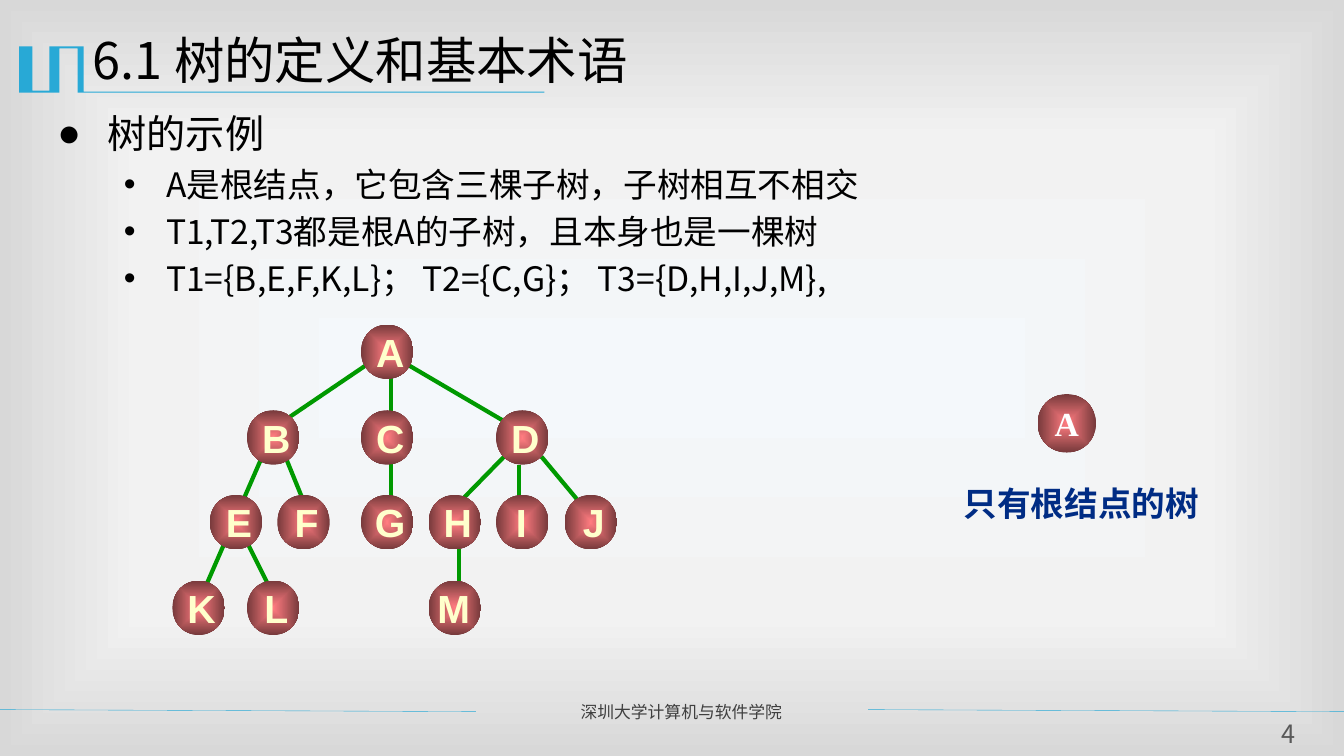
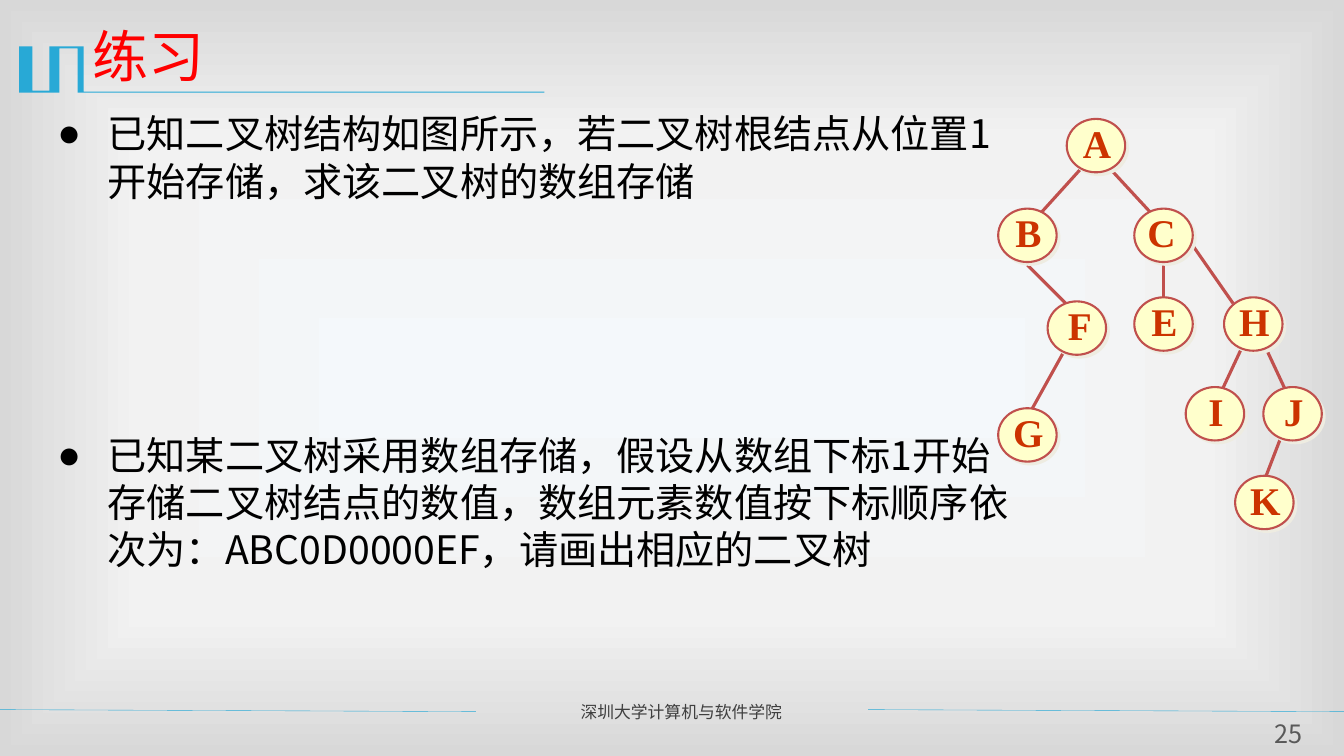
from dataclasses import dataclass
from typing import NamedTuple, Optional

import pptx
import pptx.dml.color
import pptx.enum.shapes
import pptx.enum.text
import pptx.oxml
import pptx.oxml.ns
import pptx.util
from pptx.dml.color import RGBColor
from pptx.oxml.ns import qn
from pptx.util import Inches

CJK_FONT = "Noto Sans CJK SC"
SERIF_FONT = "Times New Roman"
SANS_FONT = "Arial"

BLACK = RGBColor(0x00, 0x00, 0x00)
WHITE = RGBColor(0xFF, 0xFF, 0xFF)
RED = RGBColor(0xFF, 0x00, 0x00)
NAVY = RGBColor(0x00, 0x2C, 0x84)
CYAN = RGBColor(0x28, 0xA9, 0xD6)
DARK_GRAY = RGBColor(0x3F, 0x3F, 0x3F)
MID_GRAY = RGBColor(0x59, 0x59, 0x59)
GREEN = RGBColor(0x00, 0x99, 0x00)
CREAM = RGBColor(0xFF, 0xFF, 0xCC)
BRICK = RGBColor(0xC0, 0x50, 0x4D)
RUST = RGBColor(0xCC, 0x33, 0x00)
SHADOW = RGBColor(0xEE, 0xEC, 0xE1)
ROSE = RGBColor(0xFF, 0x7C, 0x80)
MAROON = RGBColor(0x76, 0x39, 0x3B)

BACKGROUND_STOPS = [
    (0, RGBColor(0xF4, 0xF8, 0xFB)),
    (63, RGBColor(0xF2, 0xF2, 0xF2)),
    (100, RGBColor(0xD8, 0xD8, 0xD8)),
]
NODE_STOPS = [(0, ROSE), (100, MAROON)]

EMBLEM_POINTS = [
    (0.82, 0.46), (0.83, 0.46), (0.83, 0.91), (5.4, 0.91), (5.4, 0.92),
    (0.77, 0.92), (0.77, 0.48), (0.59, 0.48), (0.59, 0.92), (0.19, 0.92),
    (0.19, 0.46), (0.32, 0.46), (0.32, 0.9), (0.49, 0.9), (0.49, 0.46),
]


class Node(NamedTuple):
    label: str
    left: float
    top: float
    label_shift: float = 0


class Edge(NamedTuple):
    x1: float
    y1: float
    x2: float
    y2: float


class Bullet(NamedTuple):
    symbol: str
    indent: float
    hanging: float


@dataclass(frozen=True)
class NodeStyle:
    width: float
    height: float
    font: str
    size: float
    color: RGBColor
    fill: Optional[RGBColor] = None
    outline: Optional[RGBColor] = None
    shift_right: float = 0
    shift_up: float = 0


MAIN_BULLET = Bullet("●", 0.5, 0.5)
SUB_BULLET = Bullet("•", 1.08, 0.42)

GENERAL_STYLE = NodeStyle(0.52, 0.54, SANS_FONT, 28, CREAM, shift_right=0.03)
SINGLE_STYLE = NodeStyle(0.58, 0.58, SERIF_FONT, 24, WHITE)
BINARY_STYLE = NodeStyle(0.58, 0.53, SERIF_FONT, 28, RUST, CREAM, BRICK,
                         shift_right=0.01, shift_up=0.03)

GENERAL_NODES = [
    Node("A", 3.58, 3.22),
    Node("B", 2.45, 4.07), Node("C", 3.58, 4.07), Node("D", 4.92, 4.07),
    Node("E", 2.08, 4.91), Node("F", 2.75, 4.91), Node("G", 3.58, 4.91),
    Node("H", 4.25, 4.91), Node("I", 4.92, 4.91, -0.04), Node("J", 5.6, 4.91),
    Node("K", 1.71, 5.76), Node("L", 2.45, 5.76), Node("M", 4.25, 5.76, -0.04),
]
GENERAL_EDGES = [
    Edge(5.37, 4.53, 5.82, 5.07), Edge(5, 4.53, 4.55, 4.99),
    Edge(5.15, 4.61, 5.15, 4.99), Edge(4.55, 5.45, 4.55, 5.91),
    Edge(4.03, 3.61, 5.07, 4.22), Edge(3.65, 3.61, 2.75, 4.22),
    Edge(3.88, 3.68, 3.88, 5.45), Edge(2.83, 4.53, 3.05, 5.07),
    Edge(2.45, 5.38, 2.68, 5.84), Edge(2.6, 4.53, 1.93, 6.07),
]
BINARY_NODES = [
    Node("A", 10.58, 1.18),
    Node("B", 9.9, 2.07), Node("C", 11.25, 2.07, -0.03),
    Node("F", 10.39, 2.99, 0.02), Node("E", 11.25, 2.95),
    Node("H", 12.14, 2.95),
    Node("G", 9.9, 4.05), Node("I", 11.76, 3.84), Node("J", 12.53, 3.84),
    Node("K", 12.25, 4.72),
]
BINARY_EDGES = [
    Edge(10.96, 1.62, 11.45, 2.15), Edge(10.77, 1.62, 10.29, 2.15),
    Edge(11.54, 2.51, 11.54, 3.04), Edge(10.59, 3.42, 10.19, 4.14),
    Edge(12.53, 3.4, 12.82, 4.02), Edge(12.34, 3.4, 12.05, 4.02),
    Edge(12.7, 4.35, 12.55, 4.74), Edge(10.19, 2.63, 10.59, 3.03),
    Edge(11.84, 2.45, 12.23, 3.01),
]


def set_path_gradient(fill, element, shape_name: str, stops) -> None:
    fill.gradient()
    gradient = next(element.iter(qn("a:gradFill")))
    stop_xml = "".join(
        f'<a:gs pos="{position * 1000}"><a:srgbClr val="{color}"/></a:gs>'
        for position, color in stops
    )
    gradient.getparent().replace(gradient, pptx.oxml.parse_xml(
        f'<a:gradFill {pptx.oxml.ns.nsdecls("a")} rotWithShape="1">'
        f'<a:gsLst>{stop_xml}</a:gsLst><a:path path="{shape_name}">'
        '<a:fillToRect l="50000" t="50000" r="50000" b="50000"/>'
        '</a:path></a:gradFill>'
    ))


def write_text(paragraph, text: str, *, size: float, color: RGBColor,
               font: str = CJK_FONT, bold: bool = False,
               alignment=pptx.enum.text.PP_ALIGN.LEFT,
               bullet: Optional[Bullet] = None,
               space_before: float = 0) -> None:
    if bullet:
        properties = paragraph._p.get_or_add_pPr()
        properties.set("marL", str(Inches(bullet.indent)))
        properties.set("indent", str(-Inches(bullet.hanging)))
        for tag, attributes in (("a:buFont", {"typeface": SANS_FONT}),
                                ("a:buChar", {"char": bullet.symbol})):
            properties.append(properties.makeelement(qn(tag), attributes))
    paragraph.alignment = alignment
    paragraph.space_before = pptx.util.Pt(space_before)
    run = paragraph.add_run()
    run.text = text
    run.font.size = pptx.util.Pt(size)
    run.font.bold = bold
    run.font.color.rgb = color
    run.font.name = font
    run_properties = run._r.get_or_add_rPr()
    run_properties.append(
        run_properties.makeelement(qn("a:ea"), {"typeface": CJK_FONT}))


def add_text_frame(slide, left: float, top: float, width: float,
                   height: float, wrap: bool = True):
    shape = slide.shapes.add_textbox(
        Inches(left), Inches(top), Inches(width), Inches(height))
    shape.text_frame.word_wrap = wrap
    return shape.text_frame


def clear_insets(frame) -> None:
    frame.margin_left = frame.margin_right = 0
    frame.margin_top = frame.margin_bottom = 0


def add_line(slide, edge: Edge, color: RGBColor, width: float) -> None:
    connector = slide.shapes.add_connector(
        pptx.enum.shapes.MSO_CONNECTOR.STRAIGHT,
        *(Inches(value) for value in edge))
    connector.line.color.rgb = color
    connector.line.width = pptx.util.Pt(width)
    properties = connector._element.spPr
    properties.append(properties.makeelement(qn("a:effectLst"), {}))


def add_node(slide, node: Node, style: NodeStyle) -> None:
    shape = slide.shapes.add_shape(
        pptx.enum.shapes.MSO_SHAPE.OVAL, Inches(node.left), Inches(node.top),
        Inches(style.width), Inches(style.height))
    shape.shadow.inherit = False
    if style.fill is None:
        set_path_gradient(shape.fill, shape._element, "shape", NODE_STOPS)
    else:
        shape.fill.solid()
        shape.fill.fore_color.rgb = style.fill
    if style.outline is None:
        shape.line.fill.background()
    else:
        shape.line.color.rgb = style.outline
        shape.line.width = pptx.util.Pt(1.5)
        effects = shape._element.spPr.find(qn("a:effectLst"))
        effects.append(pptx.oxml.parse_xml(
            f'<a:outerShdw {pptx.oxml.ns.nsdecls("a")} dist="35921" '
            f'dir="2700000"><a:srgbClr val="{SHADOW}"/></a:outerShdw>'))
    frame = shape.text_frame
    frame.word_wrap = False
    frame.vertical_anchor = pptx.enum.text.MSO_ANCHOR.MIDDLE
    clear_insets(frame)
    shift = style.shift_right + node.label_shift
    frame.margin_left = Inches(max(0, 2 * shift))
    frame.margin_right = Inches(max(0, -2 * shift))
    frame.margin_bottom = Inches(2 * style.shift_up)
    write_text(frame.paragraphs[0], node.label, size=style.size,
               color=style.color, font=style.font, bold=True,
               alignment=pptx.enum.text.PP_ALIGN.CENTER)


def add_tree(slide, nodes: list[Node], edges: list[Edge], style: NodeStyle,
             edge_color: RGBColor, edge_width: float) -> None:
    for edge in edges:
        add_line(slide, edge, edge_color, edge_width)
    for node in nodes:
        add_node(slide, node, style)


def add_emblem(slide) -> None:
    points = [(Inches(x), Inches(y)) for x, y in EMBLEM_POINTS]
    builder = slide.shapes.build_freeform(*points[0], scale=1.0)
    builder.add_line_segments(points[1:], close=True)
    shape = builder.convert_to_shape()
    shape.shadow.inherit = False
    shape.fill.solid()
    shape.fill.fore_color.rgb = CYAN
    shape.line.fill.background()


def add_base_slide(presentation, title: str, title_top: float,
                   title_size: float, title_color: RGBColor, number: int):
    slide = presentation.slides.add_slide(presentation.slide_layouts[5])
    add_emblem(slide)
    for left, right in ((-0.01, 4.72), (8.61, 13.33)):
        add_line(slide, Edge(left, 7.04, right, 7.06), CYAN, 0.25)
    footer = add_text_frame(slide, 5.66, 6.91, 2.85, 0.3)
    write_text(footer.paragraphs[0], "深圳大学计算机与软件学院", size=12,
               color=DARK_GRAY, alignment=pptx.enum.text.PP_ALIGN.JUSTIFY)

    heading = slide.shapes.title
    heading.left, heading.top = Inches(0.82), Inches(title_top)
    heading.width, heading.height = Inches(12), Inches(0.87)
    frame = heading.text_frame
    frame.auto_size = pptx.enum.text.MSO_AUTO_SIZE.NONE
    frame.vertical_anchor = pptx.enum.text.MSO_ANCHOR.TOP
    write_text(frame.paragraphs[0], title, size=title_size, color=title_color)

    page = add_text_frame(slide, 12.48, 7.13, 0.59, 0.31)
    clear_insets(page)
    write_text(page.paragraphs[0], str(number), size=18, color=MID_GRAY,
               alignment=pptx.enum.text.PP_ALIGN.CENTER)
    return slide


def add_body(slide, width: float, items) -> None:
    frame = add_text_frame(slide, 0.47, 1.04, width, 5.63)
    for index, (text, bullet, size, space_before) in enumerate(items):
        paragraph = frame.add_paragraph() if index else frame.paragraphs[0]
        write_text(paragraph, text, size=size, color=BLACK, bullet=bullet,
                   space_before=space_before)


def build_definition_slide(presentation) -> None:
    slide = add_base_slide(presentation, "6.1 树的定义和基本术语", 0.24, 36, BLACK, 4)
    details = [
        "A是根结点，它包含三棵子树，子树相互不相交",
        "T1,T2,T3都是根A的子树，且本身也是一棵树",
        "T1={B,E,F,K,L}； T2={C,G}； T3={D,H,I,J,M},",
    ]
    add_body(slide, 12.13, [("树的示例", MAIN_BULLET, 28, 0)]
             + [(text, SUB_BULLET, 24, 4.8) for text in details])
    add_node(slide, Node("A", 10.29, 3.91), SINGLE_STYLE)
    caption = add_text_frame(slide, 9.46, 4.74, 2.54, 0.5, wrap=False)
    write_text(caption.paragraphs[0], "只有根结点的树", size=24, color=NAVY,
               font=SERIF_FONT, bold=True)
    add_tree(slide, GENERAL_NODES, GENERAL_EDGES, GENERAL_STYLE, GREEN, 3)


def build_exercise_slide(presentation) -> None:
    slide = add_base_slide(presentation, "练习", 0.16, 40, RED, 25)
    add_body(slide, 9.74, [
        ("已知二叉树结构如图所示，若二叉树根结点从位置1开始存储，求该二叉树的数组存储",
         MAIN_BULLET, 28, 0),
        ("已知某二叉树采用数组存储，假设从数组下标1开始存储二叉树结点的数值，"
         "数组元素数值按下标顺序依次为：ABC0D0000EF，请画出相应的二叉树",
         MAIN_BULLET, 28, 162.4),
    ])
    add_tree(slide, BINARY_NODES, BINARY_EDGES, BINARY_STYLE, BRICK, 2.25)


def main() -> None:
    presentation = pptx.Presentation()
    presentation.slide_width = Inches(13.33)
    presentation.slide_height = Inches(7.5)
    master = presentation.slide_master
    set_path_gradient(master.background.fill, master.element, "rect",
                      BACKGROUND_STOPS)
    build_definition_slide(presentation)
    build_exercise_slide(presentation)
    presentation.save("out.pptx")


if __name__ == "__main__":
    main()
